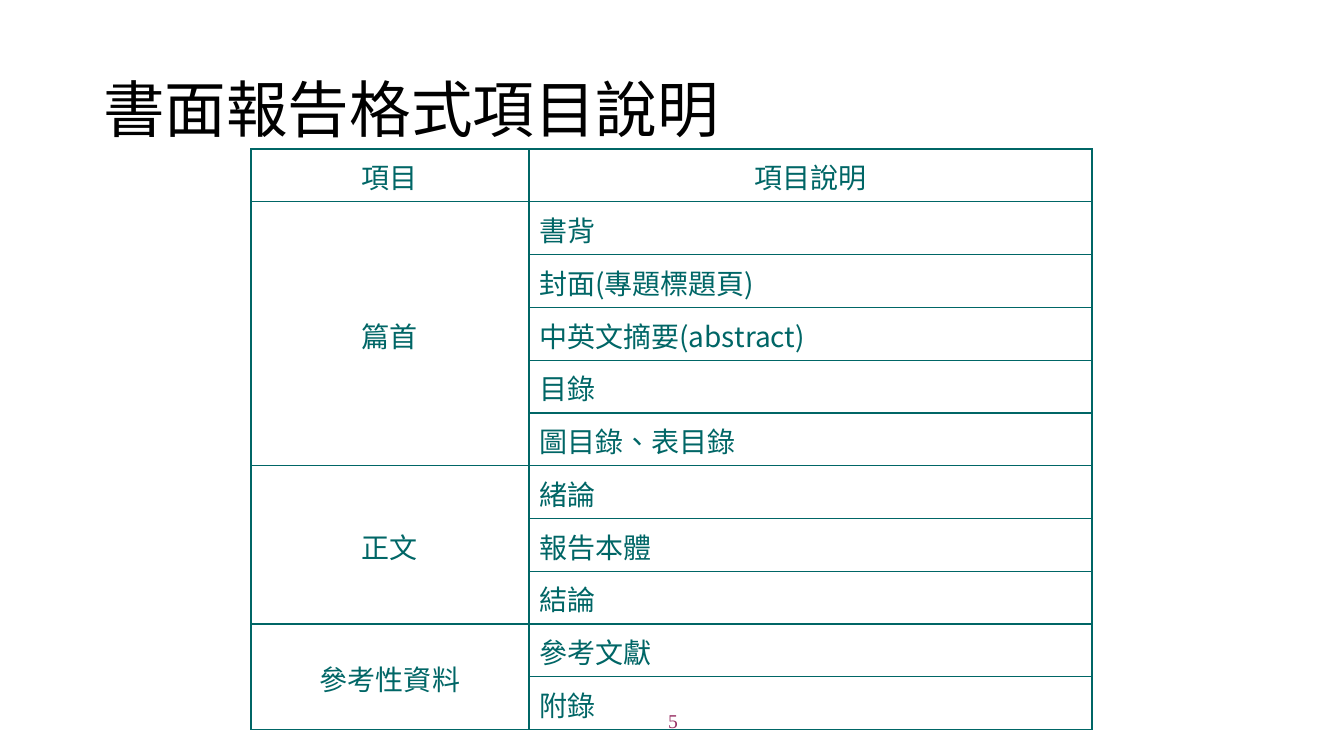
from dataclasses import dataclass
from itertools import product

from lxml import etree
from pptx import Presentation
from pptx import util as u
from pptx.dml.color import RGBColor
from pptx.enum import text
from pptx.oxml import ns

PIXEL = u.Inches(1) / 100.8
COLOURS = {"title": "000000", "table": "006666", "number": "993366"}
CJK_FONT = "Noto Sans CJK SC"
HEADINGS = ("項目", "項目說明")
COLUMN_WIDTHS = (278, 563)
ROW_HEIGHTS = (48, 52) + (45,) * 9


@dataclass(frozen=True)
class Section:
    """One part of the report and the items it holds."""
    name: str
    items: tuple[str, ...]


@dataclass(frozen=True)
class Style:
    """Look of a line of text."""
    font: str
    size: int
    colour: str
    align: text.PP_ALIGN
    spacing: float = 1.0


SECTIONS = (
    Section("篇首", ("書背", "封面(專題標題頁)", "中英文摘要(abstract)",
                   "目錄", "圖目錄、表目錄")),
    Section("正文", ("緒論", "報告本體", "結論")),
    Section("參考性資料", ("參考文獻", "附錄")),
)
TITLE = Style("Arial", 44, "title", text.PP_ALIGN.LEFT, 0.9)
CENTRED = Style(CJK_FONT, 20, "table", text.PP_ALIGN.CENTER, 1.05)
ITEM = Style(CJK_FONT, 20, "table", text.PP_ALIGN.LEFT, 1.05)
NUMBER = Style("Times New Roman", 14, "number", text.PP_ALIGN.CENTER)


def px(length: float) -> int:
    """Turn pixels into EMU."""
    return round(length * PIXEL)


def assign(target, values: dict) -> None:
    """Set every named attribute of the target."""
    for name, value in values.items():
        setattr(target, name, value)


def write(frame, words: str, style: Style) -> None:
    """Put one styled line into a text frame."""
    paragraph = frame.paragraphs[0]
    assign(paragraph, {"alignment": style.align, "line_spacing": style.spacing})
    run = paragraph.add_run()
    run.text = words
    assign(run.font, {"name": style.font, "size": u.Pt(style.size), "bold": False})
    run.font.color.rgb = RGBColor.from_string(COLOURS[style.colour])
    properties = run._r.get_or_add_rPr()
    properties.set("lang", "zh-TW")
    etree.SubElement(properties, ns.qn("a:ea"), typeface=CJK_FONT)


def place(shape, left: int, top: int, width: int, height: int) -> None:
    """Move and size a shape, given in pixels."""
    assign(shape, {"left": px(left), "top": px(top),
                   "width": px(width), "height": px(height)})
    assign(shape.text_frame, {"word_wrap": True,
                              "auto_size": text.MSO_AUTO_SIZE.NONE,
                              "vertical_anchor": text.MSO_ANCHOR.MIDDLE})


def outline(cell) -> None:
    """Give a cell four thin borders and no fill."""
    properties = cell._tc.get_or_add_tcPr()
    for side in ("lnL", "lnR", "lnT", "lnB"):
        line = etree.SubElement(properties, ns.qn(f"a:{side}"), w=str(u.Pt(1)))
        fill = etree.SubElement(line, ns.qn("a:solidFill"))
        etree.SubElement(fill, ns.qn("a:srgbClr"), val=COLOURS["table"])
    cell.fill.background()


def fill_cell(cell, words: str, style: Style) -> None:
    """Write a cell, centring it vertically when it is a heading."""
    if style is CENTRED:
        cell.vertical_anchor = text.MSO_ANCHOR.MIDDLE
    write(cell.text_frame, words, style)


def add_report_table(slide) -> None:
    """Draw the table of report sections and items."""
    table = slide.shapes.add_table(
        len(ROW_HEIGHTS), len(COLUMN_WIDTHS), px(251), px(149),
        px(sum(COLUMN_WIDTHS)), px(sum(ROW_HEIGHTS))).table
    assign(table, {"first_row": False, "horz_banding": False})
    for column, width in zip(table.columns, COLUMN_WIDTHS):
        column.width = px(width)
    for row, height in zip(table.rows, ROW_HEIGHTS):
        row.height = px(height)
    for row, column in product(range(len(ROW_HEIGHTS)), range(len(COLUMN_WIDTHS))):
        outline(table.cell(row, column))
    for column, heading in enumerate(HEADINGS):
        fill_cell(table.cell(0, column), heading, CENTRED)
    first = 1
    for section in SECTIONS:
        last = first + len(section.items) - 1
        table.cell(first, 0).merge(table.cell(last, 0))
        fill_cell(table.cell(first, 0), section.name, CENTRED)
        for row, item in enumerate(section.items, first):
            fill_cell(table.cell(row, 1), item, ITEM)
        first = last + 1


def main() -> None:
    """Build and save the slide."""
    presentation = Presentation()
    assign(presentation, {"slide_width": px(1344), "slide_height": px(756)})
    slide = presentation.slides.add_slide(presentation.slide_layouts[5])
    title = slide.shapes.title
    place(title, 93, 40, 1159, 146)
    write(title.text_frame, "書面報告格式項目說明", TITLE)
    number = slide.shapes.add_textbox(0, 0, 0, 0)
    place(number, 446, 701, 454, 40)
    write(number.text_frame, "5", NUMBER)
    add_report_table(slide)
    presentation.save("out.pptx")


main()
